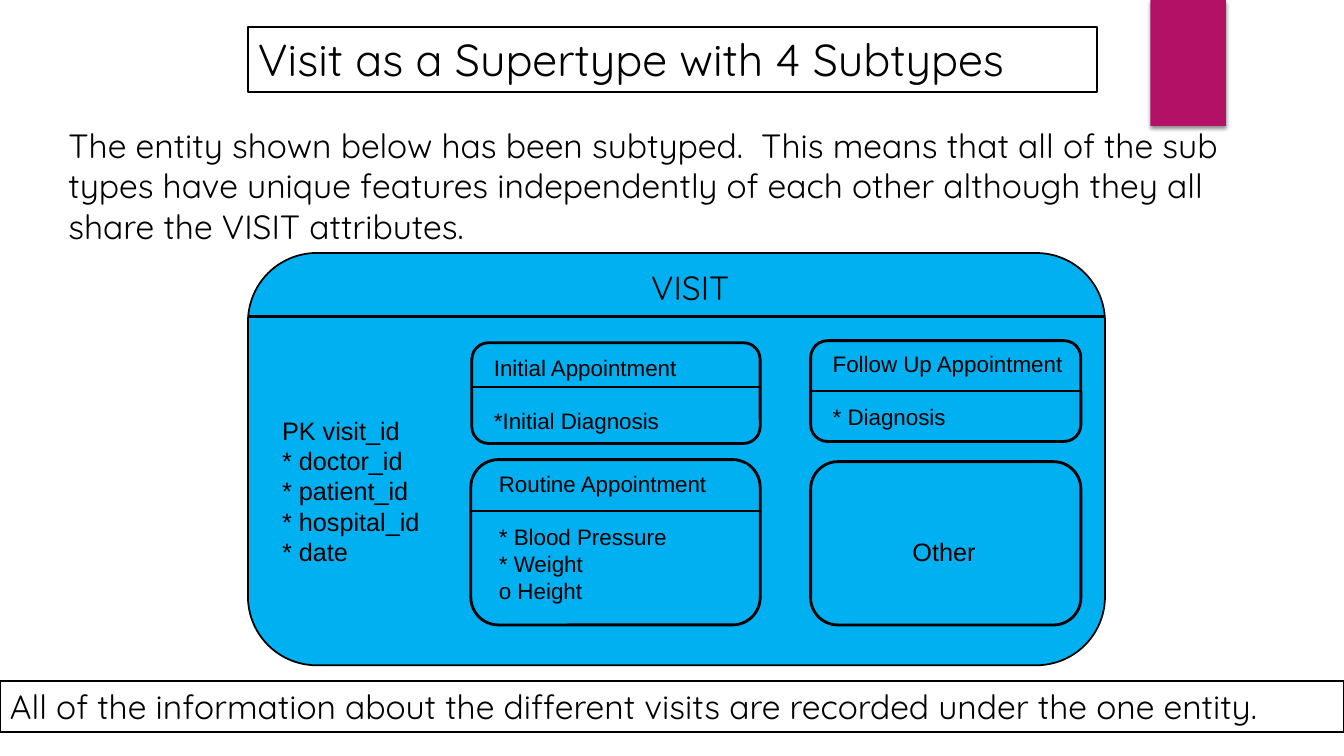
from lxml.etree import SubElement
from pptx import Presentation
from pptx.dml.color import RGBColor
from pptx.enum.shapes import MSO_CONNECTOR, MSO_SHAPE
from pptx.enum.text import MSO_ANCHOR, PP_ALIGN
from pptx.oxml import parse_xml
from pptx.oxml.ns import qn
from pptx.util import Inches, Pt

BLACK = RGBColor(0x00, 0x00, 0x00)
WHITE = RGBColor(0xFF, 0xFF, 0xFF)
BLUE = RGBColor(0x00, 0xB0, 0xF0)
MAGENTA = RGBColor(0xB3, 0x11, 0x66)

TAB_SHADOW = (
    '<a:effectLst xmlns:a="http://schemas.openxmlformats.org/drawingml/2006/main">'
    '<a:outerShdw blurRad="38100" dist="25400" dir="5400000" rotWithShape="0">'
    '<a:srgbClr val="000000"><a:alpha val="45000"/></a:srgbClr>'
    '</a:outerShdw></a:effectLst>'
)

SUBTYPES = [
    ((8.04, 4.58, 2.68, 1.62), None, None, []),
    ((4.67, 4.56, 2.87, 1.64), 5.07, (4.85, 4.61, 2.56, 1.45),
     ["Routine Appointment", "* Blood Pressure", "* Weight", "o Height"]),
    ((8.04, 3.38, 2.68, 1), 3.88, (8.16, 3.42, 2.48, 0.91),
     ["Follow Up Appointment", "* Diagnosis"]),
    ((4.68, 3.4, 2.86, 1), 3.84, (4.8, 3.46, 2.49, 0.91),
     ["Initial Appointment", "*Initial Diagnosis"]),
]


def add_box(shapes, kind, position, fill, line_width=None):
    shape = shapes.add_shape(kind, *map(Inches, position))
    shape.shadow.inherit = False
    shape.fill.solid()
    shape.fill.fore_color.rgb = fill
    if line_width:
        shape.line.color.rgb = BLACK
        shape.line.width = Pt(line_width)
    else:
        shape.line.fill.background()
    return shape


def write_lines(shape, lines, size, font_name, heading_gap=0):
    frame = shape.text_frame
    frame.word_wrap = True
    frame.vertical_anchor = MSO_ANCHOR.TOP
    for index, line in enumerate(lines):
        paragraph = frame.paragraphs[0] if index == 0 else frame.add_paragraph()
        paragraph.text = line
        paragraph.alignment = PP_ALIGN.LEFT
        paragraph.line_spacing = Pt(size * 1.2)
        if index == 1 and heading_gap:
            paragraph.space_before = Pt(heading_gap)
        paragraph.font.size = Pt(size)
        paragraph.font.name = font_name
        paragraph.font.color.rgb = BLACK


def add_label(shapes, position, lines, size, font_name, fill=BLUE,
              line_width=None, heading_gap=0):
    shape = add_box(shapes, MSO_SHAPE.RECTANGLE, position, fill, line_width)
    write_lines(shape, lines, size, font_name, heading_gap)
    return shape


def add_divider(shapes, box, top, width):
    left, right = box[0], box[0] + box[2]
    connector = shapes.add_connector(
        MSO_CONNECTOR.STRAIGHT, Inches(left), Inches(top), Inches(right), Inches(top))
    connector.line.color.rgb = BLACK
    connector.line.width = Pt(width)
    SubElement(connector._element.spPr, qn("a:effectLst"))


def add_subtype(shapes, box, divider_top, text_position, lines):
    add_box(shapes, MSO_SHAPE.ROUNDED_RECTANGLE, box, BLUE, 2)
    if lines:
        add_label(shapes, text_position, lines, 16, "Arial", heading_gap=19.2)
        add_divider(shapes, box, divider_top, 1.75)


def add_visit_entity(slide):
    shapes = slide.shapes.add_group_shape().shapes
    visit = (2.46, 2.51, 8.5, 4.09)
    add_box(shapes, MSO_SHAPE.ROUNDED_RECTANGLE, visit, BLUE, 1.25)
    add_label(shapes, (2.7, 4.07, 1.66, 2.22),
              ["PK visit_id", "* doctor_id", "* patient_id", "* hospital_id", "* date"],
              18, "Arial")
    add_divider(shapes, visit, 3.14, 1.5)
    add_label(shapes, (6.36, 2.6, 1.68, 0.5), ["VISIT"], 24, "Quicksand")
    for subtype in SUBTYPES:
        add_subtype(shapes, *subtype)
    other = add_label(shapes, (8.67, 4.97, 1.41, 0.71), ["Other"], 18, "Arial")
    other.text_frame.margin_left = Inches(0.38)
    other.text_frame.margin_top = Inches(0.35)


def main():
    presentation = Presentation()
    presentation.slide_width = Inches(13.33)
    presentation.slide_height = Inches(7.5)
    slide = presentation.slides.add_slide(presentation.slide_layouts[6])

    tab = add_box(slide.shapes, MSO_SHAPE.RECTANGLE, (11.41, 0, 0.75, 1.25), MAGENTA)
    properties = tab._element.spPr
    properties.replace(properties.find(qn("a:effectLst")), parse_xml(TAB_SHADOW))

    add_visit_entity(slide)
    add_label(slide.shapes, (2.46, 0.27, 8.42, 0.64),
              ["Visit as a Supertype with 4 Subtypes"], 32, "Quicksand", WHITE, 1.5)
    add_label(slide.shapes, (0, 6.76, 13.33, 0.5),
              ["All of the information about the different visits are recorded "
               "under the one entity."], 24, "Quicksand", WHITE, 1.5)
    introduction = slide.shapes.add_textbox(
        Inches(0.58), Inches(1.19), Inches(12.25), Inches(1.3))
    write_lines(introduction,
                ["The entity shown below has been subtyped.  This means that all of "
                 "the sub types have unique features independently of each other "
                 "although they all share the VISIT attributes."], 24, "Quicksand")
    presentation.save("out.pptx")


if __name__ == "__main__":
    main()
